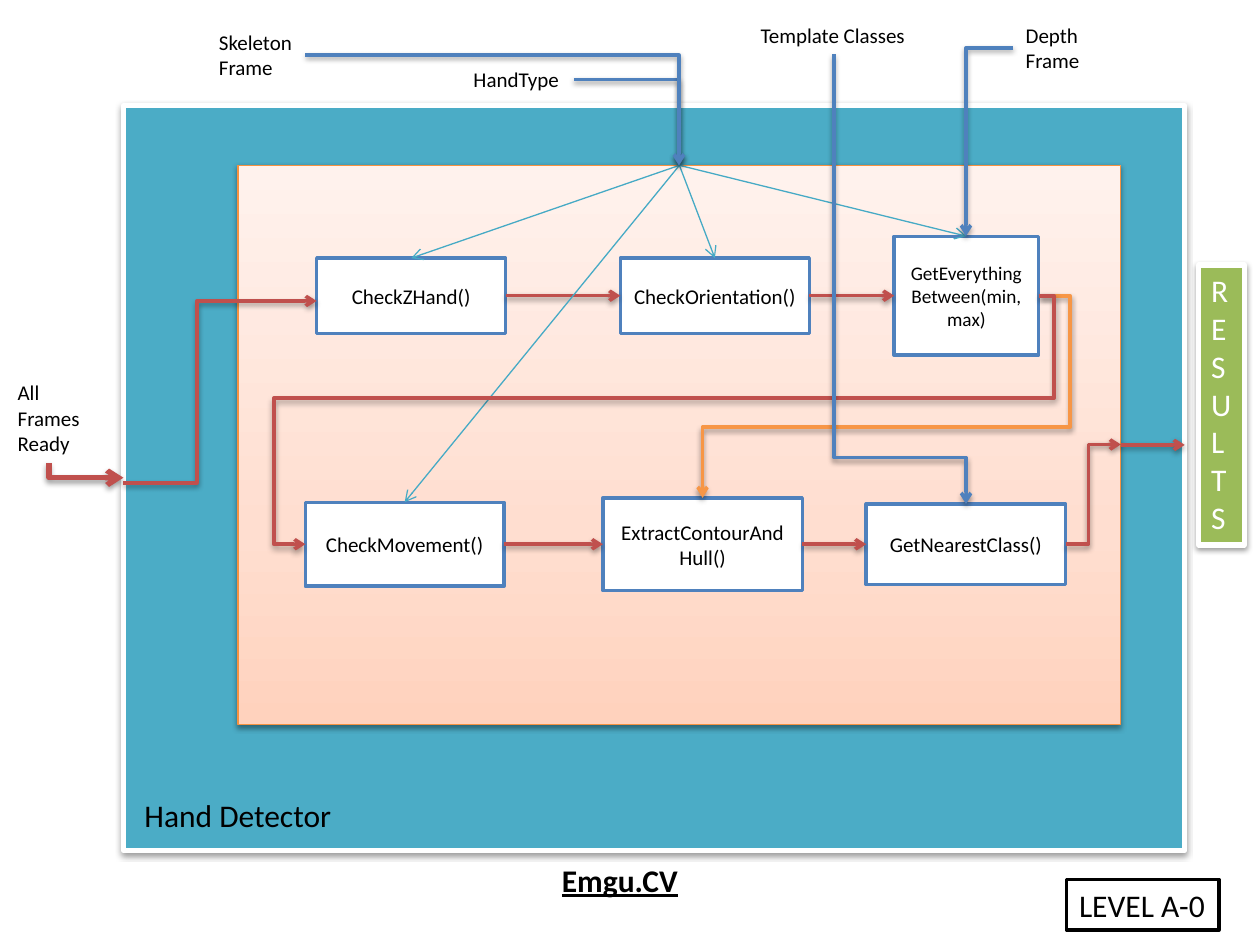
from copy import deepcopy
from pptx import Presentation
from pptx.dml.color import RGBColor
from pptx.enum.shapes import MSO_CONNECTOR as LINE, MSO_SHAPE as SHAPE
from pptx.enum.text import MSO_ANCHOR as ANCHOR, MSO_AUTO_SIZE as FIT, PP_ALIGN as ALIGN
from pptx.oxml import parse_xml
from pptx.oxml.ns import nsdecls, qn
from pptx.util import Pt

BLACK = RGBColor(0x00, 0x00, 0x00)
WHITE = RGBColor(0xFF, 0xFF, 0xFF)
TEAL = RGBColor(0x4B, 0xAC, 0xC6)
FAN_TEAL = RGBColor(0x46, 0xAA, 0xC5)
BLUE = RGBColor(0x4F, 0x81, 0xBD)
RED = RGBColor(0xC0, 0x50, 0x4D)
GREEN = RGBColor(0x9B, 0xBB, 0x59)
ORANGE = RGBColor(0xF7, 0x96, 0x46)
PANEL_EDGE = RGBColor(0xF6, 0x92, 0x40)
PANEL_STOPS = [(0, RGBColor(0xFF, 0xD2, 0xBD)), (0.35, RGBColor(0xFF, 0xDE, 0xD0)),
               (1, RGBColor(0xFF, 0xF2, 0xED))]

TOP, LEFT, BOTTOM, RIGHT = range(4)
ROW_1, ROW_2 = 169, 311  # centre lines of the two rows of steps


def set_effects(shape, shadow):
    """Give the shape a soft shadow below it, or none at all."""
    for old in shape._element.spPr.findall(qn("a:effectLst")):
        shape._element.spPr.remove(old)
    drop = ('<a:outerShdw blurRad="40000" dist="20000" dir="5400000" rotWithShape="0">'
            '<a:srgbClr val="000000"><a:alpha val="38000"/></a:srgbClr></a:outerShdw>')
    shape._element.spPr.append(parse_xml(
        f'<a:effectLst {nsdecls("a")}>{drop if shadow else ""}</a:effectLst>'))


def write(shape, text, size=12, color=BLACK, bold=None, underline=None,
          align=ALIGN.LEFT, anchor=ANCHOR.TOP, wrap=True, fit=FIT.SHAPE_TO_FIT_TEXT):
    frame = shape.text_frame
    frame.word_wrap, frame.auto_size, frame.vertical_anchor = wrap, fit, anchor
    frame.text = text
    for paragraph in frame.paragraphs:
        paragraph.alignment = align
        font = paragraph.runs[0].font
        font.name, font.size, font.color.rgb = "Calibri", Pt(size), color
        font.bold, font.underline = bold, underline


def add_label(slide, text, left, top, width, height, **format):
    label = slide.shapes.add_textbox(Pt(left), Pt(top), Pt(width), Pt(height))
    write(label, text, **format)


def add_box(slide, left, top, width, height, fill, edge, weight, shadow=False):
    box = slide.shapes.add_shape(SHAPE.RECTANGLE, Pt(left), Pt(top), Pt(width), Pt(height))
    box.shadow.inherit = False
    if fill:
        box.fill.solid()
        box.fill.fore_color.rgb = fill
    box.line.color.rgb, box.line.width = edge, Pt(weight)
    if shadow:
        set_effects(box, True)
    return box


def add_step(slide, text, left, row, width, height, size=12):
    step = add_box(slide, left, row - height / 2, width, height, WHITE, BLUE, 2)
    write(step, text, size=size, align=ALIGN.CENTER, anchor=ANCHOR.MIDDLE, fit=FIT.NONE)
    return step


def fill_gradient(shape, stops):
    shape.fill.gradient()
    shape.fill.gradient_angle = 90
    stop_list = shape._element.spPr.find(".//" + qn("a:gsLst"))
    stop_list.insert(1, deepcopy(stop_list[0]))
    for stop, (position, color) in zip(shape.fill.gradient_stops, stops):
        stop.position, stop.color.rgb = position, color


def style_arrow(arrow, color, weight, shadow):
    arrow.line.color.rgb, arrow.line.width = color, Pt(weight)
    arrow.line._get_or_add_ln().append(parse_xml(f'<a:tailEnd {nsdecls("a")} type="arrow"/>'))
    set_effects(arrow, shadow)


def add_arrow(slide, start, start_side, end, end_side, color=RED, weight=2, shadow=True):
    """Straight arrow between the sides of two boxes."""
    arrow = slide.shapes.add_connector(LINE.STRAIGHT, 0, 0, 0, 0)
    arrow.begin_connect(start, start_side)
    arrow.end_connect(end, end_side)
    style_arrow(arrow, color, weight, shadow)


def add_route(slide, points, color, weight=2):
    """Elbow arrow through right-angled points; its adjustments follow from them."""
    start, end = points[0], points[-1]
    spans = [end[axis] - start[axis] for axis in (0, 1)]
    route = slide.shapes.add_connector(LINE.ELBOW, *map(Pt, (*start, *end)))
    first_axis = 0 if points[1][1] == start[1] else 1
    if first_axis == 1:  # starts vertically: turn the horizontal form by 270 degrees
        length, depth = abs(spans[1]), abs(spans[0])
        route.left = Pt((start[0] + end[0] - length) / 2)
        route.top = Pt((start[1] + end[1] - depth) / 2)
        route.width, route.height = Pt(length), Pt(depth)
        frame = route._element.spPr.find(qn("a:xfrm"))
        frame.set("rot", "16200000")
        frame.set("flipH", str(int(spans[1] > 0)))
        frame.set("flipV", str(int(spans[0] < 0)))
    geometry = route._element.spPr.find(qn("a:prstGeom"))
    geometry.set("prst", f"bentConnector{len(points) - 1}")
    guides = geometry.find(qn("a:avLst"))
    for i, bend in enumerate(points[1:-2]):
        axis = (first_axis + i) % 2
        share = round((bend[axis] - start[axis]) / spans[axis] * 100000)
        guides.append(parse_xml(
            f'<a:gd {nsdecls("a")} name="adj{i + 1}" fmla="val {share}"/>'))
    style_arrow(route, color, weight, True)


def main():
    prs = Presentation()
    prs.slide_width, prs.slide_height = Pt(720), Pt(540)
    slide = prs.slides.add_slide(prs.slide_layouts[6])

    # Detector and its inner panel
    add_box(slide, 70.5, 60.5, 606.5, 425.5, TEAL, WHITE, 3, shadow=True)
    panel = add_box(slide, 136, 94.5, 504.5, 319.5, None, PANEL_EDGE, 0.75, shadow=True)
    fill_gradient(panel, PANEL_STOPS)

    # Level tag and results bar
    level = add_box(slide, 609.5, 502.5, 87, 29, WHITE, BLACK, 2)
    write(level, "LEVEL A-0", size=18, wrap=False)
    results = add_box(slide, 685, 151.5, 26, 160, GREEN, WHITE, 3, shadow=True)
    write(results, "\n".join("RESULTS"), size=18, color=WHITE, wrap=False)

    # Steps
    z_hand = add_step(slide, "CheckZHand()", 181, ROW_1, 108, 43)
    orientation = add_step(slide, "CheckOrientation()", 354.5, ROW_1, 108, 43)
    everything = add_step(slide, "GetEverything\nBetween(min,max)", 511, ROW_1, 82.5, 68, size=11)
    movement = add_step(slide, "CheckMovement()", 174.5, ROW_2, 113.5, 48)
    contour = add_step(slide, "ExtractContourAndHull()", 344.5, ROW_2, 114, 53)
    nearest = add_step(slide, "GetNearestClass()", 495, ROW_2, 114, 46)

    # Labels
    add_label(slide, "Skeleton\nFrame", 118, 13.5, 57, 36)
    add_label(slide, "Depth\nFrame", 579, 9.5, 45.5, 36, wrap=False)
    add_label(slide, "HandType", 263.5, 34.5, 64, 22)
    add_label(slide, "Template Classes", 427.5, 9.5, 98, 22, wrap=False)
    add_label(slide, "All\nFrames\nReady", 3, 213.5, 51, 51)
    add_label(slide, "Hand Detector", 75.5, 451.5, 122.5, 29, size=18, wrap=False)
    add_label(slide, "Emgu.CV", 314, 488.5, 81.5, 29, size=18, bold=True,
              underline=True, wrap=False)

    # Flow within the rows
    for row in ((z_hand, orientation, everything), (movement, contour, nearest)):
        for step, following in zip(row, row[1:]):
            add_arrow(slide, step, RIGHT, following, LEFT)

    # Inputs spread from the top of the panel
    for step in (movement, z_hand, orientation, everything):
        add_arrow(slide, panel, TOP, step, TOP, FAN_TEAL, 0.75, shadow=False)

    # Inputs from above
    add_route(slide, [(579, 27.5), (552, 27.5), (552, 135)], BLUE)
    add_route(slide, [(328, 45.5), (388, 45.5), (388, 94.5)], BLUE)
    add_route(slide, [(174.5, 31.5), (388, 31.5), (388, 94.5)], BLUE)

    # Depth data to the contour step, and the flow on to the second row
    add_route(slide, [(593.5, ROW_1), (611.5, ROW_1), (611.5, 244), (401.5, 244),
                      (401.5, 284.5)], ORANGE)
    add_route(slide, [(593.5, ROW_1), (602.5, ROW_1), (602.5, 227.5), (156.5, 227.5),
                      (156.5, ROW_2), (174.5, ROW_2)], RED)

    # Entry from the left
    add_route(slide, [(28, 264.5), (28, 273), (70.5, 273)], RED, weight=3)
    add_route(slide, [(70.5, 276), (112.5, 276), (112.5, 172), (181, 172)], RED)

    # Template classes
    add_route(slide, [(476.5, 31), (476.5, 261.5), (552, 261.5), (552, 288)], BLUE)

    # Exit to the results
    add_route(slide, [(609, ROW_2), (622, ROW_2), (622, 254), (640.5, 254)], RED)
    exit_arrow = slide.shapes.add_connector(LINE.STRAIGHT, Pt(640.5), Pt(254.25),
                                            Pt(677), Pt(254.25))
    exit_arrow.begin_connect(panel, RIGHT)
    style_arrow(exit_arrow, RED, 2, True)

    prs.save("out.pptx")


if __name__ == "__main__":
    main()
